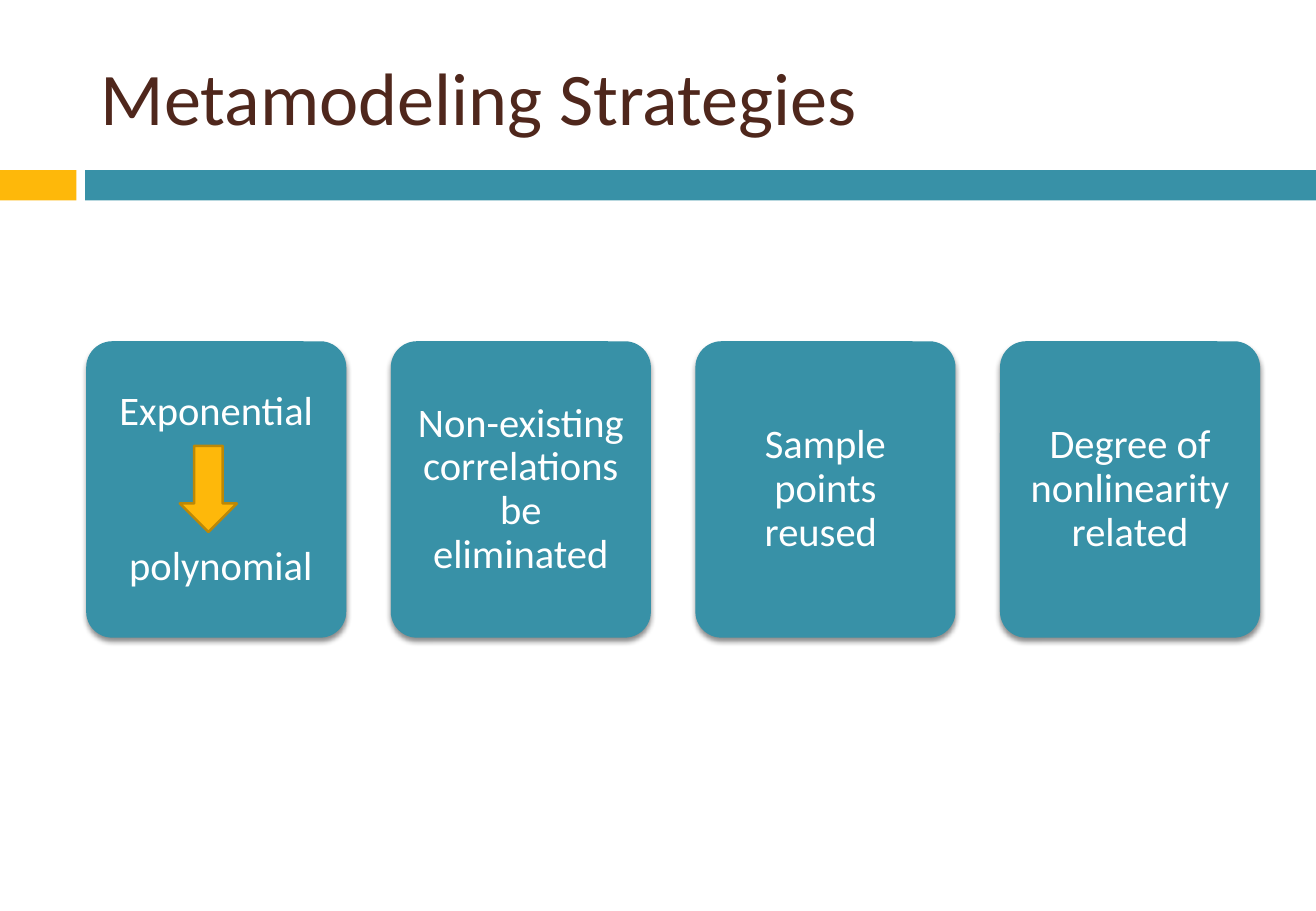
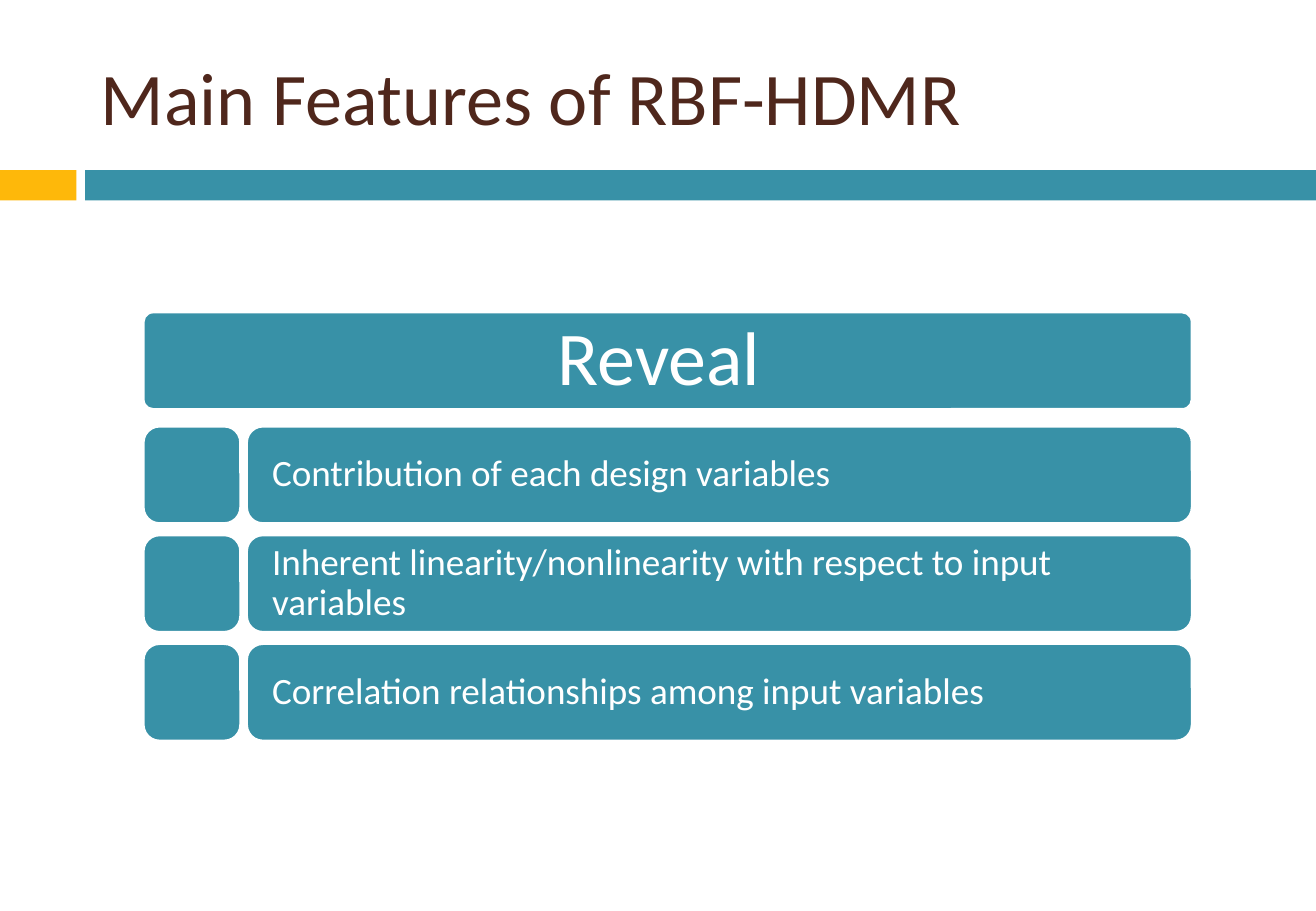
import pptx
import pptx.util
from lxml import etree
from pptx.dml.color import RGBColor
from pptx.enum.shapes import MSO_SHAPE
from pptx.enum.text import MSO_ANCHOR, PP_ALIGN
from pptx.oxml.ns import qn
from pptx.util import Inches, Pt

TEAL = RGBColor(0x38, 0x91, 0xA7)
AMBER = RGBColor(0xFE, 0xB8, 0x0A)
DARK_AMBER = RGBColor(0xBC, 0x88, 0x07)
BROWN = RGBColor(0x4F, 0x27, 0x1C)
WHITE = RGBColor(0xFF, 0xFF, 0xFF)
FONT = "Calibri"
SLIDE_WIDTH, SLIDE_HEIGHT = 10.83, 7.5

CARDS = [
    ["Exponential", " polynomial"],
    ["Non-existing correlations be eliminated"],
    ["Sample points reused "],
    ["Degree of nonlinearity related"],
]
FEATURES = [
    "Contribution of each design variables",
    "Inherent linearity/nonlinearity with respect to input variables",
    "Correlation relationships among input variables",
]


def add_block(slide, preset, left, top, width, height, fill=TEAL, line=None, corner=None):
    block = slide.shapes.add_shape(
        preset, Inches(left), Inches(top), Inches(width), Inches(height))
    block.shadow.inherit = False
    block.fill.solid()
    block.fill.fore_color.rgb = fill
    if line is None:
        block.line.fill.background()
    else:
        block.line.color.rgb = line
        block.line.width = Pt(1.5)
    if corner is not None:
        block.adjustments[0] = corner
    return block


def add_drop_shadow(block):
    """Put a soft black shadow straight below the block."""
    effects = block._element.spPr.find(qn("a:effectLst"))
    shadow = etree.SubElement(
        effects, qn("a:outerShdw"), blurRad=str(Pt(3)), dist=str(Pt(2.4)),
        dir="5400000", rotWithShape="0")
    black = etree.SubElement(shadow, qn("a:srgbClr"), val="000000")
    etree.SubElement(black, qn("a:alpha"), val="45000")


def write(block, paragraphs, size, align, margin_x, margin_y, gap=0):
    """Fill the block with white text, with gap points between paragraphs."""
    frame = block.text_frame
    frame.word_wrap = True
    frame.vertical_anchor = MSO_ANCHOR.MIDDLE
    frame.margin_left = frame.margin_right = Inches(margin_x)
    frame.margin_top = frame.margin_bottom = Inches(margin_y)
    frame.text = "\n".join(paragraphs)
    for index, paragraph in enumerate(frame.paragraphs):
        paragraph.alignment = align
        paragraph.line_spacing = 0.9
        paragraph.space_before = Pt(gap if index else 0)
        paragraph.font.name = FONT
        paragraph.font.size = Pt(size)
        paragraph.font.color.rgb = WHITE


def add_titled_slide(deck, text):
    """Add a slide with the shared title style and the two-colour band."""
    slide = deck.slides.add_slide(deck.slide_layouts[5])
    for left, width, colour in ((0, 0.63, AMBER), (0.7, SLIDE_WIDTH - 0.7, TEAL)):
        add_block(slide, MSO_SHAPE.RECTANGLE, left, 1.4, width, 0.25, colour)

    title = slide.shapes.title
    title.left, title.top = Inches(0.73), Inches(0.25)
    title.width, title.height = Inches(9.66), Inches(1.08)
    title.text_frame.text = text
    title.text_frame.vertical_anchor = MSO_ANCHOR.MIDDLE
    paragraph = title.text_frame.paragraphs[0]
    paragraph.alignment = PP_ALIGN.LEFT
    paragraph.font.name = FONT
    paragraph.font.size = Pt(44)
    paragraph.font.color.rgb = BROWN
    return slide


def add_strategies(deck):
    slide = add_titled_slide(deck, "Metamodeling Strategies")
    first_left, last_left = 0.71, 8.23
    pitch = (last_left - first_left) / (len(CARDS) - 1)
    for index, paragraphs in enumerate(CARDS):
        card = add_block(slide, MSO_SHAPE.ROUNDED_RECTANGLE,
                         first_left + index * pitch, 2.81, 2.14, 2.44, corner=0.1)
        add_drop_shadow(card)
        write(card, paragraphs, 24, PP_ALIGN.CENTER, 0.1, 0.1, gap=66)
    add_block(slide, MSO_SHAPE.DOWN_ARROW, 1.48, 3.67, 0.47, 0.71, AMBER, DARK_AMBER)


def add_features(deck):
    slide = add_titled_slide(deck, "Main Features of RBF-HDMR")
    left, right, row_height = 1.18, 9.81, 0.8
    header = add_block(slide, MSO_SHAPE.ROUNDED_RECTANGLE, left, 2.57,
                       right - left, row_height, line=WHITE, corner=0.1)
    write(header, ["Reveal "], 45, PP_ALIGN.CENTER, 0.09, 0.06)

    first_top, last_top, bar_left = 3.51, 5.3, 2.03
    pitch = (last_top - first_top) / (len(FEATURES) - 1)
    for index, feature in enumerate(FEATURES):
        top = first_top + index * pitch
        add_block(slide, MSO_SHAPE.ROUNDED_RECTANGLE, left, top,
                  row_height, row_height, line=WHITE, corner=0.167)
        bar = add_block(slide, MSO_SHAPE.ROUNDED_RECTANGLE, bar_left, top,
                        right - bar_left, row_height, line=WHITE, corner=0.167)
        write(bar, [feature], 22, PP_ALIGN.LEFT, 0.17, 0)


def main():
    deck = pptx.Presentation()
    deck.slide_width = Inches(SLIDE_WIDTH)
    deck.slide_height = Inches(SLIDE_HEIGHT)
    add_strategies(deck)
    add_features(deck)
    deck.save("out.pptx")


if __name__ == "__main__":
    main()
